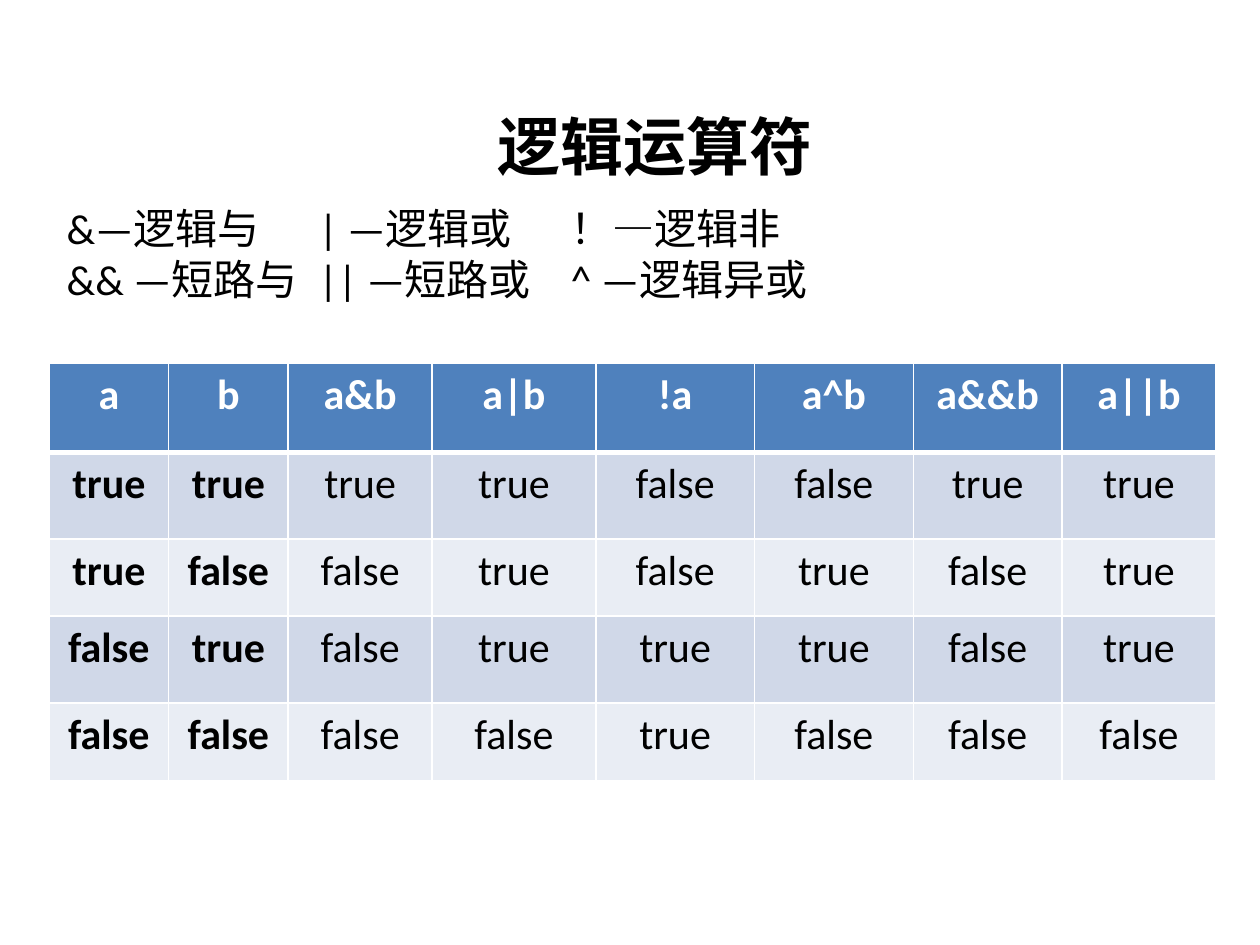
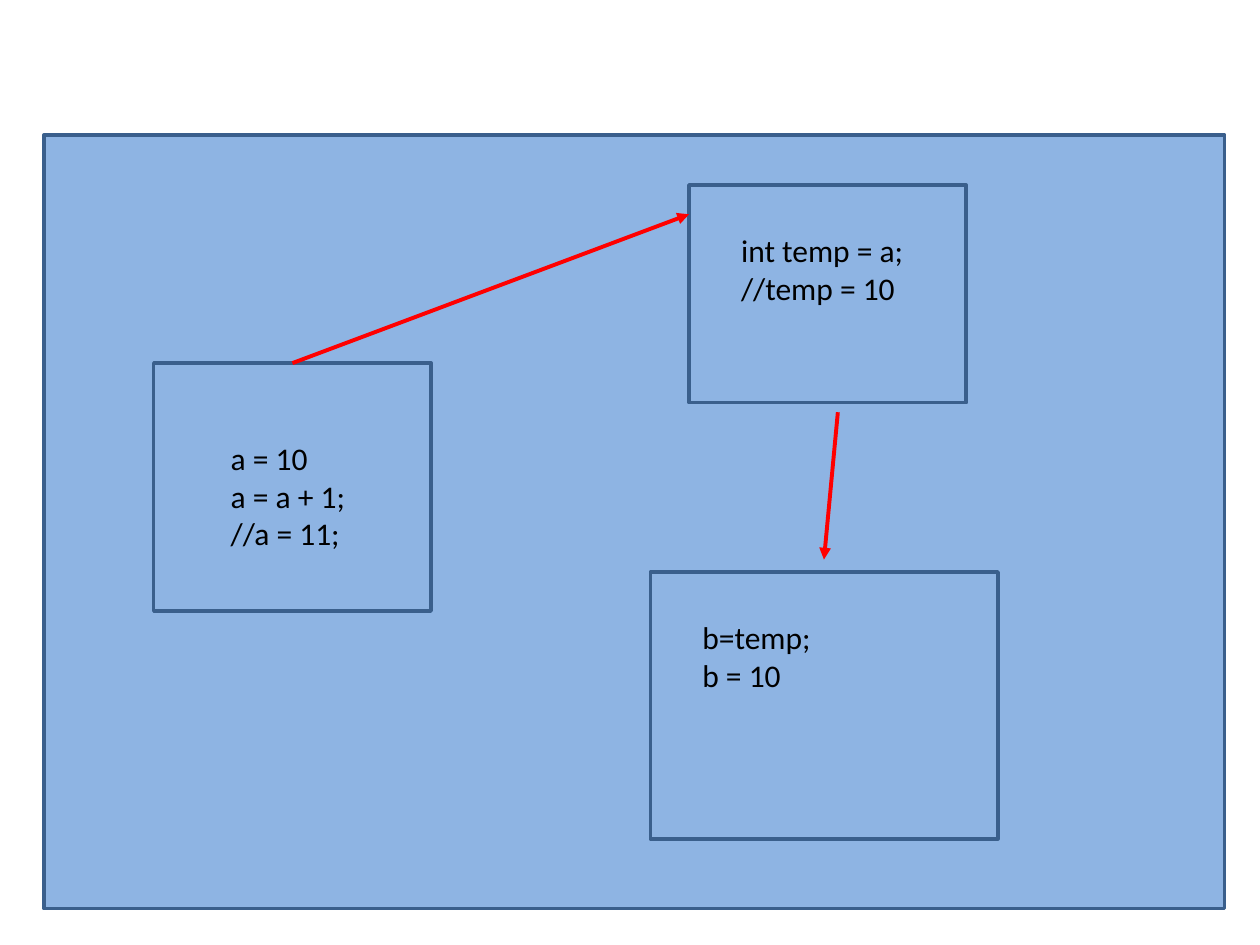
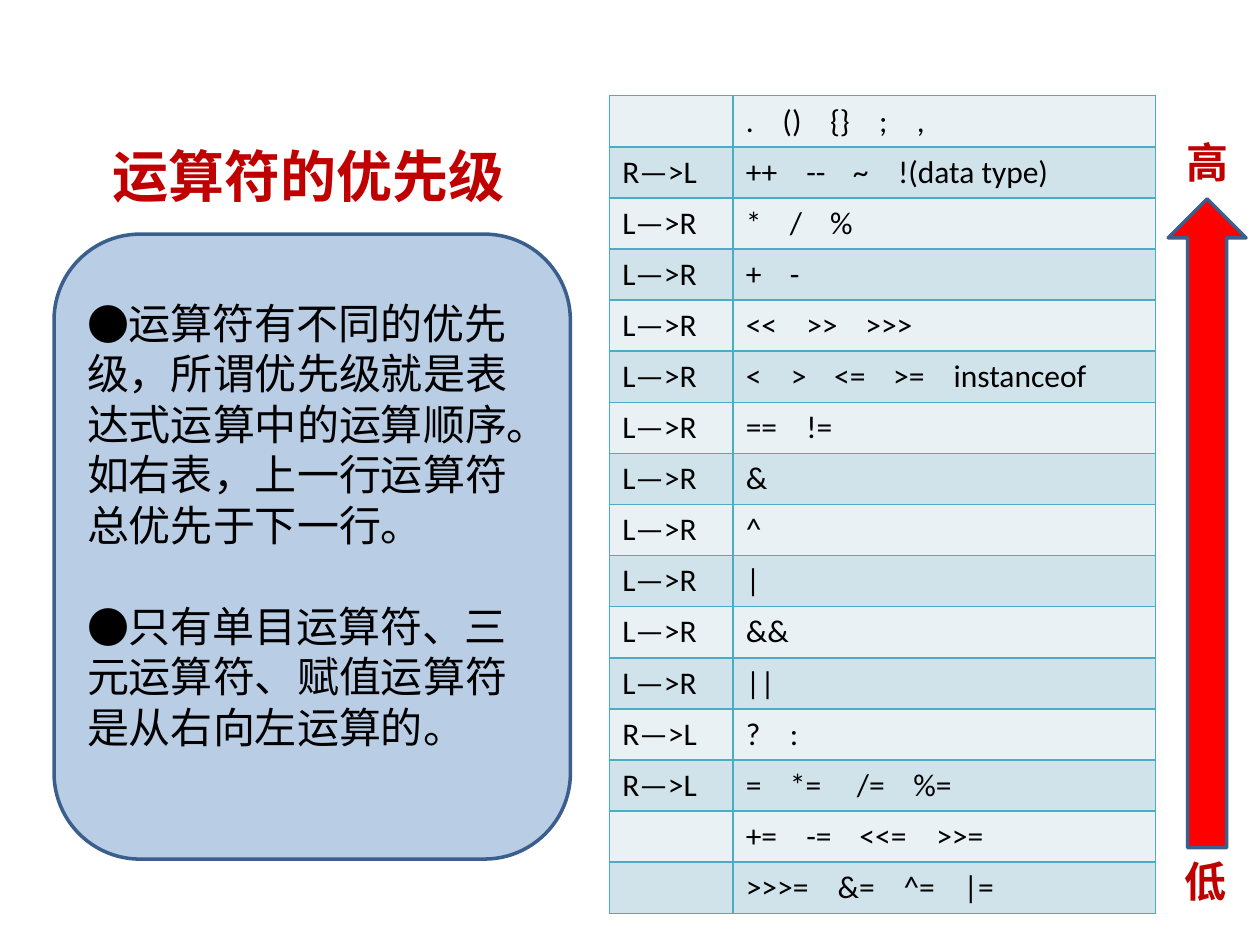
from lxml.etree import SubElement
from pptx import Presentation
from pptx.dml.color import RGBColor
from pptx.enum.shapes import MSO_CONNECTOR, MSO_SHAPE
from pptx.enum.text import MSO_ANCHOR, MSO_AUTO_SIZE, PP_ALIGN
from pptx.oxml.ns import qn
from pptx.util import Cm, Pt

# Shared look
WHITE = RGBColor(0xFF, 0xFF, 0xFF)
BLACK = RGBColor(0x00, 0x00, 0x00)
RED = RGBColor(0xFF, 0x00, 0x00)
DARK_RED = RGBColor(0xC0, 0x00, 0x00)
HEADER_BLUE = RGBColor(0x4F, 0x81, 0xBD)
BLUE_BANDS = (RGBColor(0xD0, 0xD8, 0xE8), RGBColor(0xE9, 0xED, 0xF4))
TEAL_BANDS = (RGBColor(0xE9, 0xF1, 0xF5), RGBColor(0xD0, 0xE3, 0xEA))
TEAL = RGBColor(0x4B, 0xAC, 0xC6)
PANEL_BLUE = RGBColor(0x8E, 0xB4, 0xE3)
PALE_BLUE = RGBColor(0xB9, 0xCD, 0xE5)
OUTLINE = RGBColor(0x3A, 0x5F, 0x8C)
LATIN, HEADING, CJK = "Calibri", "Arial", "Noto Sans CJK SC"

TITLE_AND_BODY, BLANK = 1, 6

OPERATOR_ROWS = [
    (["&—逻辑与", "| —逻辑或", "！—逻辑非"], [6.0, 11.85]),
    (["&& —短路与", "|| —短路或", "^ —逻辑异或"], [6.15, 12.36]),
]
TRUTH_TABLE = [
    "a b a&b a|b !a a^b a&&b a||b",
    "true true true true false false true true",
    "true false false true false true false true",
    "false true false true true true false true",
    "false false false false true false false false",
]
# Associativity, operators, tab stops in cm
PRECEDENCE = [
    ("", ". () {} ; ,", [0.74, 1.7, 2.69, 3.45]),
    ("R—>L", "++ -- ~ !(data type)", [1.22, 2.16, 3.07]),
    ("L—>R", "* / %", [0.89, 1.7]),
    ("L—>R", "+ -", [0.89]),
    ("L—>R", "<< >> >>>", [1.22, 2.41]),
    ("L—>R", "< > <= >= instanceof", [0.91, 1.78, 2.97, 4.19]),
    ("L—>R", "== !=", [1.22]),
    ("L—>R", "&", []),
    ("L—>R", "^", []),
    ("L—>R", "|", []),
    ("L—>R", "&&", []),
    ("L—>R", "||", []),
    ("R—>L", "? :", [0.89]),
    ("R—>L", "= *= /= %=", [0.89, 2.24, 3.38]),
    ("", "+= -= <<= >>=", [1.22, 2.29, 3.84]),
    ("", ">>>= &= ^= |=", [1.85, 3.18, 4.39]),
]
RULES = [
    "运算符有不同的优先级，所谓优先级就是表达式运算中的运算顺序。如右表，上一行运算符总优先于下一行。",
    "只有单目运算符、三元运算符、赋值运算符是从右向左运算的。",
]


def cm_box(box):
    return [Cm(v) for v in box]


def write(p, text, size, color=BLACK, bold=False, font=LATIN, align=PP_ALIGN.LEFT):
    p.alignment = align
    if not text:
        return
    r = p.add_run()
    r.text = text
    r.font.size = Pt(size)
    r.font.bold = bold
    r.font.color.rgb = color
    r.font.name = font
    SubElement(r._r.get_or_add_rPr(), qn("a:ea"), typeface=CJK)


def add_tabs(p, stops):
    tabs = SubElement(p._p.get_or_add_pPr(), qn("a:tabLst"))
    for stop in stops:
        SubElement(tabs, qn("a:tab"), pos=str(Cm(stop)), algn="l")


def set_bullet(p, char=None):
    pPr = p._p.get_or_add_pPr()
    pPr.set("marL", "0")
    pPr.set("indent", "0")
    if char:
        SubElement(pPr, qn("a:buFont"), typeface=CJK)
        SubElement(pPr, qn("a:buChar"), char=char)
    else:
        SubElement(pPr, qn("a:buNone"))


def place(sp, box):
    sp.left, sp.top, sp.width, sp.height = cm_box(box)
    tf = sp.text_frame
    tf.word_wrap = True
    tf.auto_size = MSO_AUTO_SIZE.NONE
    tf.vertical_anchor = MSO_ANCHOR.TOP
    return tf


def add_title(s, box, text, size, **style):
    write(place(s.shapes.title, box).paragraphs[0], text, size, bold=True, **style)


def add_paragraphs(tf, count):
    return [tf.paragraphs[0]] + [tf.add_paragraph() for _ in range(count - 1)]


def add_text(s, box, lines, size, **style):
    tf = place(s.shapes.add_textbox(*cm_box(box)), box)
    for p, line in zip(add_paragraphs(tf, len(lines)), lines):
        write(p, line, size, **style)


def add_block(s, kind, box, fill):
    sp = s.shapes.add_shape(kind, *cm_box(box))
    sp.shadow.inherit = False
    sp.fill.solid()
    sp.fill.fore_color.rgb = fill
    sp.line.color.rgb = OUTLINE
    sp.line.width = Pt(2)
    return sp


def add_arrow(s, start, end):
    line = s.shapes.add_connector(MSO_CONNECTOR.STRAIGHT, *cm_box(start + end))
    line.line.color.rgb = RED
    line.line.width = Pt(2.25)
    SubElement(line.line._get_or_add_ln(), qn("a:tailEnd"), type="triangle")
    SubElement(line._element.spPr, qn("a:effectLst"))
    return line


def add_grid(s, left, top, widths, heights):
    box = (left, top, sum(widths), sum(heights))
    table = s.shapes.add_table(len(heights), len(widths), *cm_box(box)).table
    table.first_row = table.horz_banding = False
    for col, width in zip(table.columns, widths):
        col.width = Cm(width)
    for row, height in zip(table.rows, heights):
        row.height = Cm(height)
    return table


def style_cell(cell, fill, border, top=1, bottom=1):
    tcPr = cell._tc.get_or_add_tcPr()
    for edge, width in (("L", 1), ("R", 1), ("T", top), ("B", bottom)):
        ln = SubElement(tcPr, qn(f"a:ln{edge}"), w=str(Pt(width)))
        SubElement(SubElement(ln, qn("a:solidFill")), qn("a:srgbClr"), val=str(border))
    cell.fill.solid()
    cell.fill.fore_color.rgb = fill


# Slide 1: logical operators
def operator_list(s, box):
    tf = place(s.placeholders[1], box)
    for p, (items, stops) in zip(add_paragraphs(tf, len(OPERATOR_ROWS)), OPERATOR_ROWS):
        p.space_before = Pt(0)
        set_bullet(p)
        add_tabs(p, stops)
        write(p, "\t".join(items), 24)


def truth_table(s, left, top):
    widths = [2.41, 2.41, 2.9, 3.3, 3.2, 3.2, 3.0, 3.1]
    table = add_grid(s, left, top, widths, [1.8, 1.75, 1.55, 1.75, 1.57])
    for i, row in enumerate(TRUTH_TABLE):
        head = i == 0
        for j, value in enumerate(row.split()):
            cell = table.cell(i, j)
            style_cell(cell, HEADER_BLUE if head else BLUE_BANDS[(i - 1) % 2], WHITE,
                       top=3 if i == 1 else 1, bottom=3 if head else 1)
            write(cell.text_frame.paragraphs[0], value, 24, WHITE if head else BLACK,
                  bold=head or j < 2, align=PP_ALIGN.CENTER)


def logic_slide(prs):
    s = prs.slides.add_slide(prs.slide_layouts[TITLE_AND_BODY])
    add_title(s, (7.7, 2.03, 11, 1.93), "逻辑运算符", 36, align=PP_ALIGN.CENTER)
    operator_list(s, (1.09, 3.96, 22.8, 2.3))
    truth_table(s, 0.99, 7.32)


# Slide 2: steps of a postfix increment
def code_box(s, box, offset, size, lines):
    sp = add_block(s, MSO_SHAPE.RECTANGLE, box, PANEL_BLUE)
    add_text(s, (box[0] + offset[0], box[1] + offset[1]) + size, lines, 18)
    return sp


def memory_slide(prs):
    s = prs.slides.add_slide(prs.slide_layouts[BLANK])
    add_block(s, MSO_SHAPE.RECTANGLE, (0.89, 2.72, 23.8, 15.6), PANEL_BLUE)
    a_box = code_box(s, (3.1, 7.32, 5.59, 5), (1.3, 1.4), (3, 2.57),
                     ["a = 10", "a = a + 1;", "//a = 11;"])
    code_box(s, (13.89, 3.73, 5.59, 4.39), (0.8, 0.8), (4.4, 1.8),
             ["int temp = a;", "//temp = 10"])
    code_box(s, (13.11, 11.53, 7.01, 5.38), (0.8, 0.8), (5.2, 1.8),
             ["b=temp;", "b = 10"])
    add_arrow(s, (5.89, 7.32), (13.89, 4.32)).begin_connect(a_box, 0)
    add_arrow(s, (16.89, 8.31), (16.61, 11.28))


# Slide 3: operator precedence
def rules_panel(s, box):
    left, top, width, height = box
    panel = add_block(s, MSO_SHAPE.ROUNDED_RECTANGLE, box, PALE_BLUE)
    s.shapes.element.insert(2, panel.element)  # behind the body text
    tf = place(s.placeholders[1], (left + 0.41, top + 1.15, width - 0.81, height - 1.15))
    for i, (p, rule) in enumerate(zip(add_paragraphs(tf, len(RULES)), RULES)):
        p.space_before = Pt(29 if i else 0)
        set_bullet(p, "●")
        write(p, rule, 24, font=HEADING)


def precedence_table(s, left, top):
    table = add_grid(s, left, top, [2.49, 8.51], [1.03] * len(PRECEDENCE))
    for i, (order, operators, stops) in enumerate(PRECEDENCE):
        parts = operators.split(" ", len(stops))
        for j, value in enumerate((order, "\t".join(parts))):
            cell = table.cell(i, j)
            style_cell(cell, TEAL_BANDS[i % 2], TEAL)
            p = cell.text_frame.paragraphs[0]
            if j and stops:
                add_tabs(p, stops)
            write(p, value, 18)


def priority_scale(s, left, top):
    add_block(s, MSO_SHAPE.UP_ARROW, (left, top + 1.39, 1.57, 13.08), RED)
    for label, dx, dy in (("高", 0.12, 0), ("低", 0.07, 14.5)):
        add_text(s, (left + dx, top + dy, 1.4, 1.27), [label], 24,
                 color=DARK_RED, bold=True, font=CJK)


def precedence_slide(prs):
    s = prs.slides.add_slide(prs.slide_layouts[TITLE_AND_BODY])
    add_title(s, (2.01, 2.72, 8.61, 1.63), "运算符的优先级", 32,
              color=DARK_RED, font=HEADING)
    rules_panel(s, (1.09, 4.72, 10.41, 12.6))
    precedence_table(s, 12.29, 1.93)
    priority_scale(s, 23.55, 2.62)


def main():
    prs = Presentation()
    prs.slide_width, prs.slide_height = Cm(25.4), Cm(19.05)
    logic_slide(prs)
    memory_slide(prs)
    precedence_slide(prs)
    prs.save("out.pptx")


if __name__ == "__main__":
    main()
